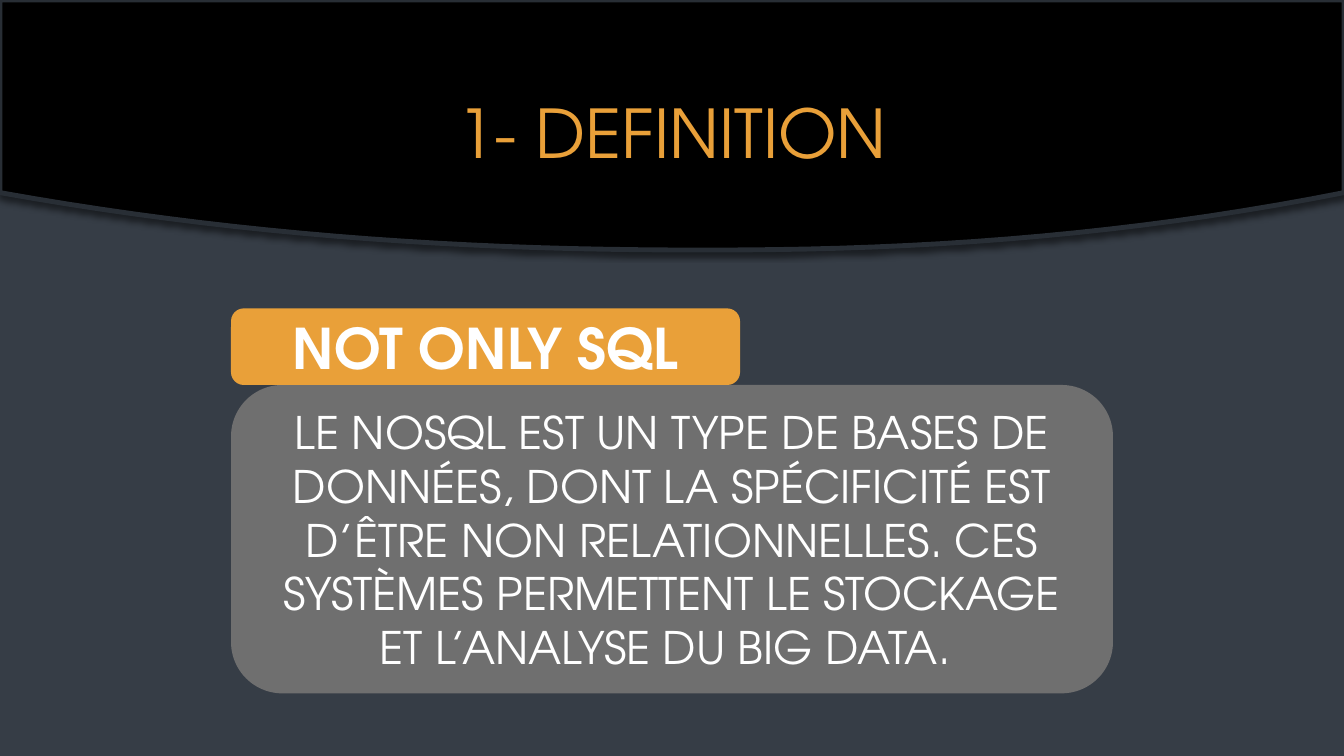
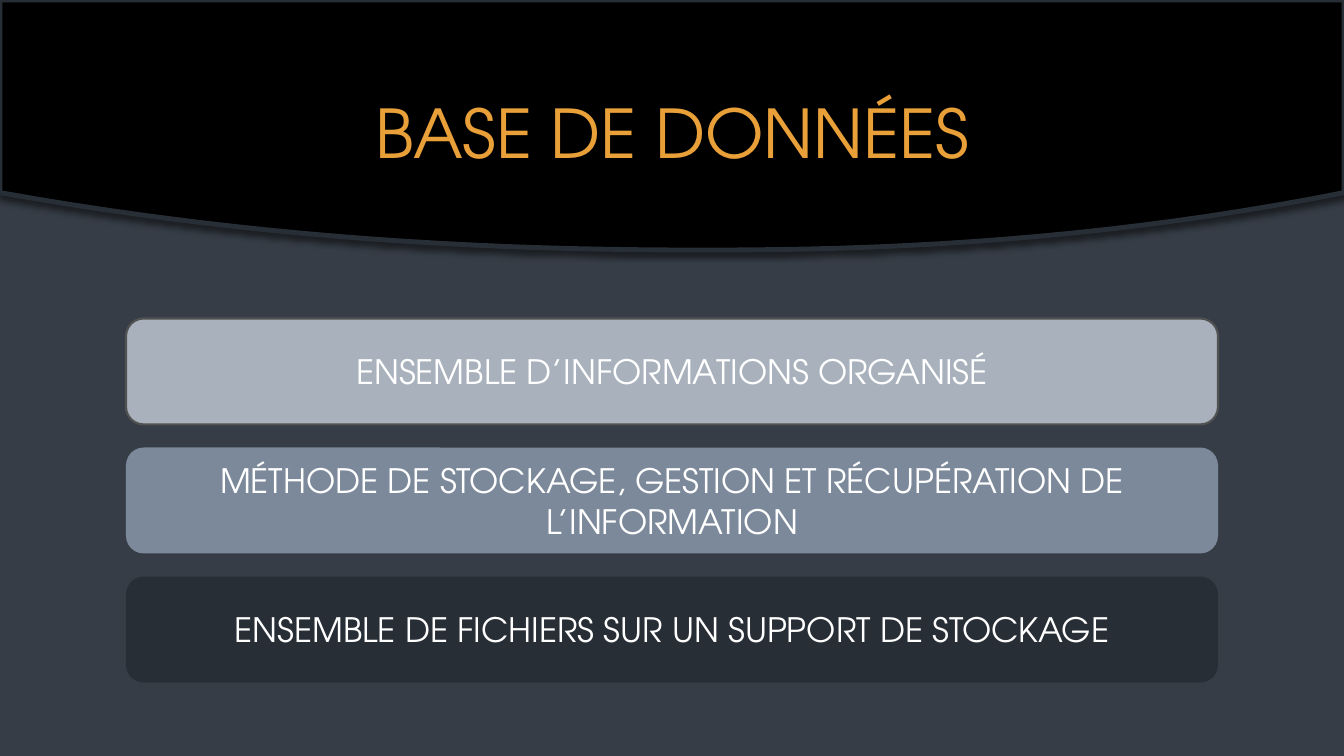
import pptx
import pptx.dml.color
import pptx.enum.shapes
import pptx.enum.text
import pptx.oxml
import pptx.oxml.ns
import pptx.util

Pt = pptx.util.Pt
RGBColor = pptx.dml.color.RGBColor

WIDTH, HEIGHT = 960, 540
FONT = "TeX Gyre Adventor"
BLACK = RGBColor(0x00, 0x00, 0x00)
WHITE = RGBColor(0xFF, 0xFF, 0xFF)
SLATE = RGBColor(0x36, 0x3D, 0x46)
DARK = RGBColor(0x28, 0x2E, 0x35)
ORANGE = RGBColor(0xE9, 0xA0, 0x39)
GREY = RGBColor(0x6F, 0x6F, 0x6F)
OUTLINE = RGBColor(0x52, 0x52, 0x52)
PALE_BLUE = RGBColor(0xA8, 0xB1, 0xBC)
MID_BLUE = RGBColor(0x7C, 0x89, 0x9A)

BAND_BOX = (0, 0, WIDTH, 178.6)
TITLE_BOX = (90, 48, 780, 92)
SHADOW = (
    f'<a:effectLst {pptx.oxml.ns.nsdecls("a")}>'
    '<a:outerShdw blurRad="50800" dist="38100" dir="5400000" rotWithShape="0">'
    '<a:srgbClr val="000000"><a:alpha val="50000"/></a:srgbClr>'
    '</a:outerShdw></a:effectLst>'
)


def write(sp, text, size, color, bold=False):
    tf = sp.text_frame
    tf.word_wrap = True
    tf.vertical_anchor = pptx.enum.text.MSO_ANCHOR.MIDDLE
    p = tf.paragraphs[0]
    p.text = text
    p.alignment = pptx.enum.text.PP_ALIGN.CENTER
    p.font.name = FONT
    p.font.size = Pt(size)
    p.font.bold = bold
    p.font.color.rgb = color


def add_band(slide, box):
    left, top, width, height = box
    peak, dip, steps = 0.525 * width, 41, 40
    curve = []
    for i in range(steps + 1):
        x = width * (1 - i / steps)
        reach = width - peak if x > peak else peak
        drop = dip * (abs(x - peak) / reach) ** 2.2
        curve.append((Pt(left + x), Pt(top + height - drop)))
    builder = slide.shapes.build_freeform(Pt(left), Pt(top))
    builder.add_line_segments([(Pt(left + width), Pt(top))] + curve, close=True)
    sp = builder.convert_to_shape()
    sp.fill.solid()
    sp.fill.fore_color.rgb = BLACK
    sp.line.color.rgb = DARK
    sp.line.width = Pt(3.5)
    sp._element.spPr.append(pptx.oxml.parse_xml(SHADOW))


def add_card(slide, box, text, size, fill, line=None, bold=False):
    sp = slide.shapes.add_shape(
        pptx.enum.shapes.MSO_SHAPE.ROUNDED_RECTANGLE, *map(Pt, box))
    sp.shadow.inherit = False
    sp.fill.solid()
    sp.fill.fore_color.rgb = fill
    if line is None:
        sp.line.fill.background()
    else:
        sp.line.color.rgb = line
        sp.line.width = Pt(1.5)
    write(sp, text, size, WHITE, bold)


def add_titled_slide(prs, title):
    slide = prs.slides.add_slide(prs.slide_layouts[6])
    slide.background.fill.solid()
    slide.background.fill.fore_color.rgb = SLATE
    add_band(slide, BAND_BOX)
    write(slide.shapes.add_textbox(*map(Pt, TITLE_BOX)), title, 48, ORANGE)
    return slide


def add_definition(slide, box, term, meaning):
    left, top, width, height = box
    tab_width, tab_height = 363.6, 54.7
    add_card(slide, (left, top + tab_height, width, height - tab_height),
             meaning, 32, GREY)
    add_card(slide, (left, top, tab_width, tab_height), term, 40, ORANGE, bold=True)


def add_card_stack(slide, box, cards, gap=16.5):
    left, top, width, height = box
    card_height = (height - gap * (len(cards) - 1)) / len(cards)
    for i, (text, fill, line) in enumerate(cards):
        card_top = top + i * (card_height + gap)
        add_card(slide, (left, card_top, width, card_height), text, 24, fill, line)


def main():
    prs = pptx.Presentation()
    prs.slide_width, prs.slide_height = Pt(WIDTH), Pt(HEIGHT)

    slide = add_titled_slide(prs, "1- DEFINITION")
    add_definition(
        slide, (165, 220.3, 630, 275), "NOT ONLY SQL",
        "LE NOSQL EST UN TYPE DE BASES DE DONNÉES, DONT LA SPÉCIFICITÉ EST "
        "D’ÊTRE NON RELATIONNELLES. CES SYSTÈMES PERMETTENT LE STOCKAGE "
        "ET L’ANALYSE DU BIG DATA. ")

    slide = add_titled_slide(prs, "BASE DE DONNÉES")
    add_card_stack(slide, (90, 227.5, 780, 260), [
        ("ENSEMBLE D’INFORMATIONS ORGANISÉ", PALE_BLUE, OUTLINE),
        ("MÉTHODE DE STOCKAGE, GESTION ET RÉCUPÉRATION DE L’INFORMATION",
         MID_BLUE, None),
        ("ENSEMBLE DE FICHIERS SUR UN SUPPORT DE STOCKAGE", DARK, None),
    ])

    prs.save("out.pptx")


if __name__ == "__main__":
    main()
